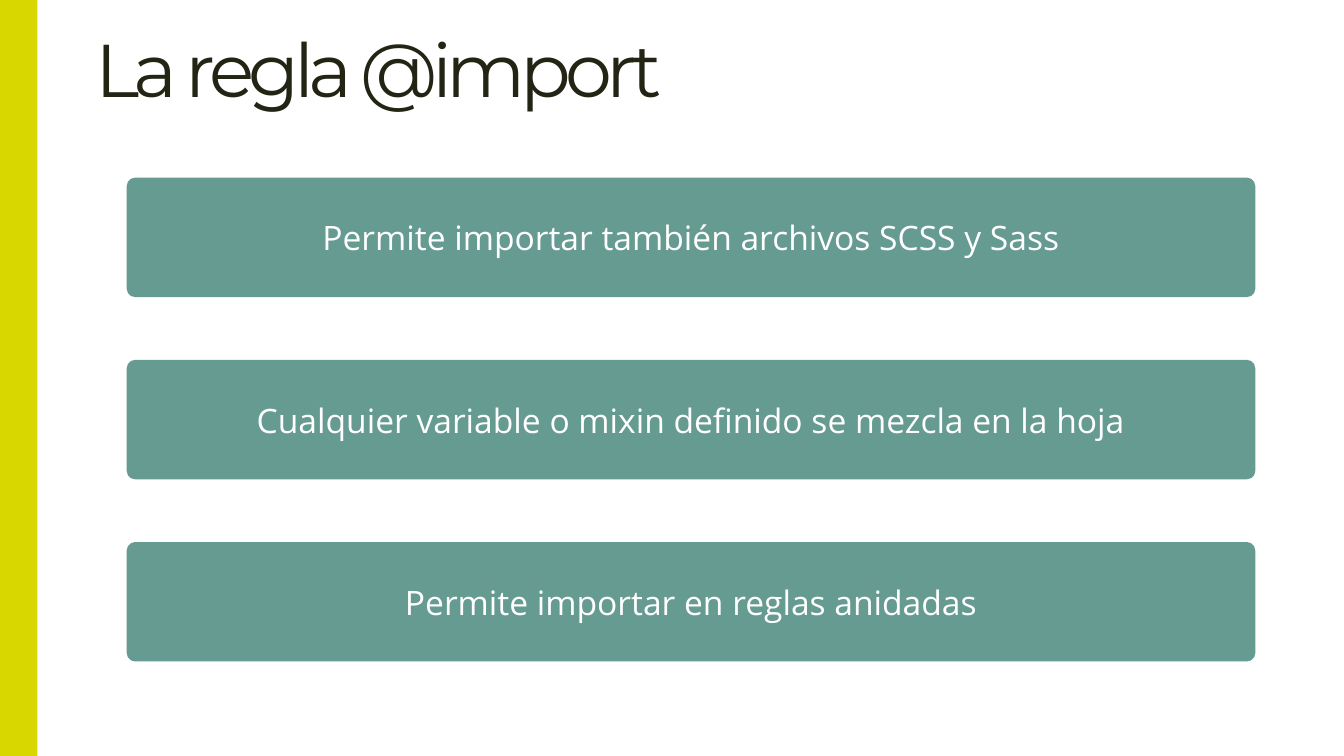
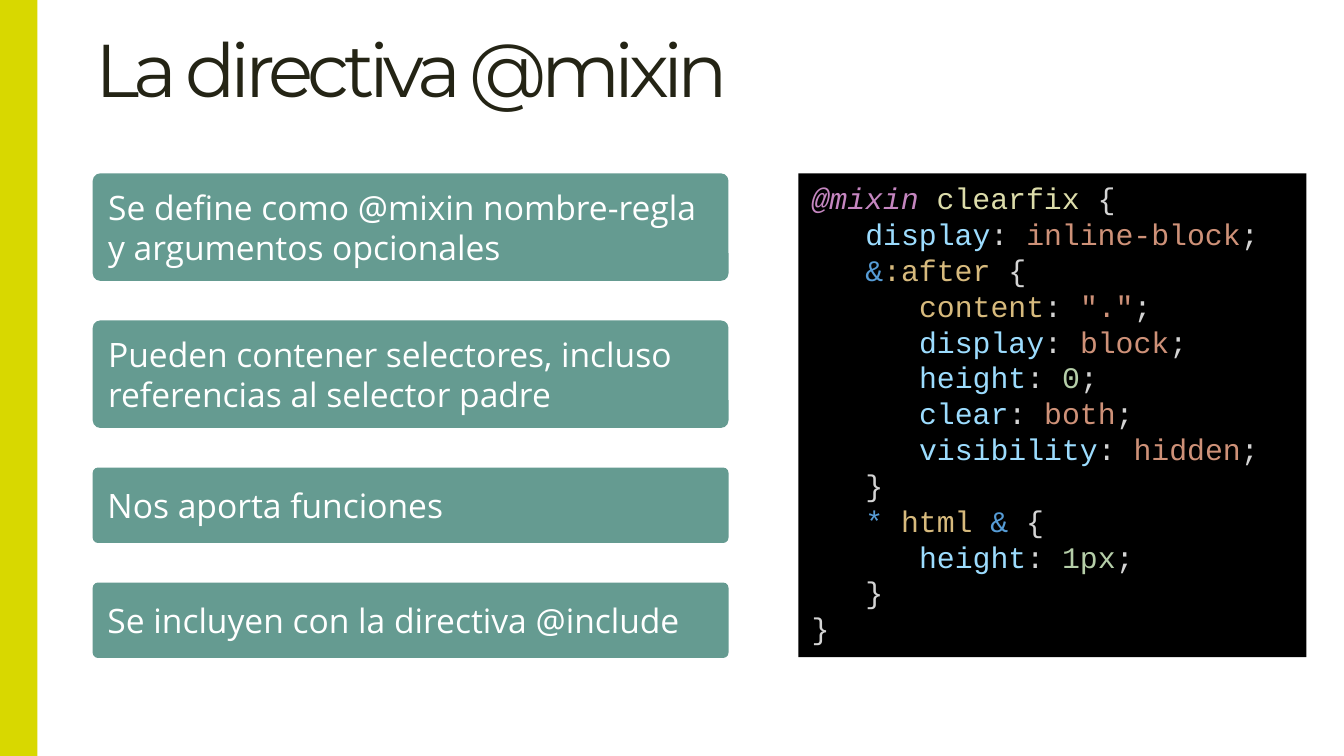
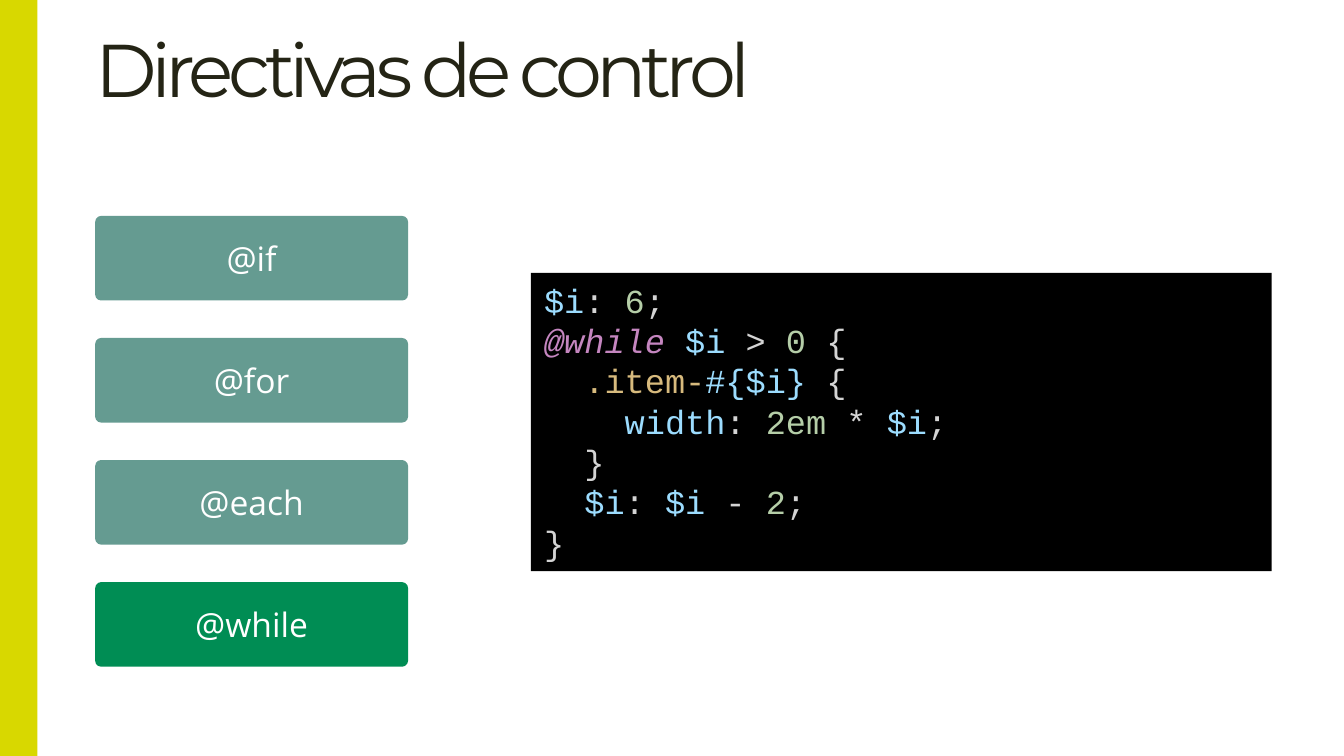
from dataclasses import dataclass
from typing import NamedTuple

from lxml.etree import SubElement
from pptx import Presentation
from pptx.dml.color import RGBColor
from pptx.enum.shapes import MSO_SHAPE
from pptx.enum.text import MSO_ANCHOR, MSO_AUTO_SIZE, PP_ALIGN
from pptx.oxml.ns import qn
from pptx.util import Pt

WIDTH, HEIGHT = 720, 405
INK = RGBColor(0x24, 0x24, 0x15)
LIME = RGBColor(0xD8, 0xD8, 0x00)
TEAL = RGBColor(0x65, 0x9B, 0x91)
GREEN = RGBColor(0x00, 0x8D, 0x54)
WHITE = RGBColor(0xFF, 0xFF, 0xFF)
BLACK = RGBColor(0x00, 0x00, 0x00)

KEYWORD = RGBColor(0xC5, 0x86, 0xC0)
FUNCTION = RGBColor(0xDC, 0xDC, 0xAA)
PLAIN = RGBColor(0xD4, 0xD4, 0xD4)
NAME = RGBColor(0x9C, 0xDC, 0xFE)
VALUE = RGBColor(0xCE, 0x91, 0x78)
NUMBER = RGBColor(0xB5, 0xCE, 0xA8)
SELECTOR = RGBColor(0xD7, 0xBA, 0x7D)
SYMBOL = RGBColor(0x56, 0x9C, 0xD6)

TITLE_FONT, BODY_FONT, CODE_FONT = "Montserrat", "Open Sans", "Courier New"
CODE_CHAR_WIDTH = 0.6


class Token(NamedTuple):
    text: str
    color: RGBColor = PLAIN


class Line(NamedTuple):
    level: int
    tokens: list[Token]


class Card(NamedTuple):
    text: str
    height: float
    color: RGBColor = TEAL


@dataclass
class CardStack:
    left: float
    top: float
    width: float
    gap: float
    cards: list[Card]
    align: PP_ALIGN = PP_ALIGN.CENTER


@dataclass
class CodePanel:
    left: float
    top: float
    width: float
    height: float
    size: float
    indent_chars: int
    lines: list[Line]


def declaration(level: int, name: str, value: str, value_color: RGBColor = VALUE,
                name_color: RGBColor = NAME) -> Line:
    """Return one "name: value;" line."""
    return Line(level, [Token(name, name_color), Token(": "),
                        Token(value, value_color), Token(";")])


def closing(level: int) -> Line:
    """Return a line with a closing brace."""
    return Line(level, [Token("}")])


MIXIN_CARDS = CardStack(49.7, 92.9, 340.6, 21.2, [
    Card("Se define como @mixin nombre-regla y argumentos opcionales", 57.6),
    Card("Pueden contener selectores, incluso referencias al selector padre", 57.6),
    Card("Nos aporta funciones", 40.4),
    Card("Se incluyen con la directiva @include", 40.4),
], PP_ALIGN.LEFT)

MIXIN_CODE = CodePanel(427.7, 92.9, 272.2, 259.2, 16, 3, [
    Line(0, [Token("@mixin ", KEYWORD), Token("clearfix", FUNCTION), Token(" {")]),
    declaration(1, "display", "inline-block"),
    Line(1, [Token("&", SYMBOL), Token(":after", SELECTOR), Token(" {")]),
    declaration(2, "content", '"."', name_color=SELECTOR),
    declaration(2, "display", "block"),
    declaration(2, "height", "0", NUMBER),
    declaration(2, "clear", "both"),
    declaration(2, "visibility", "hidden"),
    closing(1),
    Line(1, [Token("* ", SYMBOL), Token("html ", SELECTOR), Token("&", SYMBOL), Token(" {")]),
    declaration(2, "height", "1px", NUMBER),
    closing(1),
    closing(0),
])

IMPORT_CARDS = CardStack(67.9, 95.2, 604.6, 33.6, [
    Card("Permite importar también archivos SCSS y Sass", 64),
    Card("Cualquier variable o mixin definido se mezcla en la hoja", 64),
    Card("Permite importar en reglas anidadas", 64),
])

CONTROL_CARDS = CardStack(51, 115.7, 167.6, 20.1, [
    Card("@if", 45.3),
    Card("@for", 45.3),
    Card("@each", 45.3),
    Card("@while", 45.3, GREEN),
])

CONTROL_CODE = CodePanel(284.4, 146.2, 396.9, 159.8, 18, 2, [
    declaration(0, "$i", "6", NUMBER),
    Line(0, [Token("@while ", KEYWORD), Token("$i", NAME), Token(" > "),
             Token("0", NUMBER), Token(" {")]),
    Line(1, [Token(".item-", SELECTOR), Token("#{$i}", NAME), Token(" {")]),
    Line(2, [Token("width", NAME), Token(": "), Token("2em", NUMBER), Token(" * "),
             Token("$i", NAME), Token(";")]),
    closing(1),
    Line(1, [Token("$i", NAME), Token(": "), Token("$i", NAME), Token(" - "),
             Token("2", NUMBER), Token(";")]),
    closing(0),
])


def style_run(r, font: str, size: float, color: RGBColor) -> None:
    """Set font, size and colour of a run."""
    r.font.name = font
    r.font.size = Pt(size)
    r.font.color.rgb = color
    for tag in ("a:ea", "a:cs"):
        SubElement(r.font._element, qn(tag), typeface=font)


def add_box(s, kind: MSO_SHAPE, left: float, top: float, width: float, height: float,
            color: RGBColor):
    """Add a flat filled shape without an outline."""
    sp = s.shapes.add_shape(kind, Pt(left), Pt(top), Pt(width), Pt(height))
    sp.shadow.inherit = False
    sp.fill.solid()
    sp.fill.fore_color.rgb = color
    sp.line.fill.background()
    return sp


def add_titled_slide(prs, title: str):
    """Add a blank slide with its title and side band."""
    s = prs.slides.add_slide(prs.slide_layouts[6])
    tf = s.shapes.add_textbox(Pt(51), Pt(0), Pt(649.4), Pt(64)).text_frame
    tf.word_wrap = True
    tf.vertical_anchor = MSO_ANCHOR.BOTTOM
    tf.margin_left = 0
    tf.text = title
    r = tf.paragraphs[0].runs[0]
    style_run(r, TITLE_FONT, 40, INK)
    r.font._element.set("spc", "-300")
    add_box(s, MSO_SHAPE.RECTANGLE, 0, 0, 20, HEIGHT, LIME)
    return s


def add_cards(s, stack: CardStack) -> None:
    """Draw the cards from top to bottom with equal gaps."""
    top = stack.top
    for card in stack.cards:
        sp = add_box(s, MSO_SHAPE.ROUNDED_RECTANGLE, stack.left, top, stack.width,
                     card.height, card.color)
        sp.adjustments[0] = 0.07
        tf = sp.text_frame
        tf.word_wrap = True
        tf.vertical_anchor = MSO_ANCHOR.MIDDLE
        tf.text = card.text
        p = tf.paragraphs[0]
        p.alignment = stack.align
        style_run(p.runs[0], BODY_FONT, 18, WHITE)
        top += card.height + stack.gap


def add_code(s, panel: CodePanel) -> None:
    """Draw a dark panel with coloured, indented code lines."""
    sp = add_box(s, MSO_SHAPE.RECTANGLE, panel.left, panel.top, panel.width,
                 panel.height, BLACK)
    tf = sp.text_frame
    tf.word_wrap = True
    tf.auto_size = MSO_AUTO_SIZE.SHAPE_TO_FIT_TEXT
    tf.vertical_anchor = MSO_ANCHOR.TOP
    indent = panel.indent_chars * panel.size * CODE_CHAR_WIDTH
    for i, line in enumerate(panel.lines):
        p = tf.add_paragraph() if i else tf.paragraphs[0]
        p.alignment = PP_ALIGN.LEFT
        p.line_spacing = Pt(panel.size * 1.2)
        p._p.get_or_add_pPr().set("marL", str(Pt(line.level * indent)))
        for token in line.tokens:
            r = p.add_run()
            r.text = token.text
            style_run(r, CODE_FONT, panel.size, token.color)
            if token.color == KEYWORD:
                r.font.italic = True


def main() -> None:
    """Build and save the three slides."""
    prs = Presentation()
    prs.slide_width, prs.slide_height = Pt(WIDTH), Pt(HEIGHT)

    s = add_titled_slide(prs, "La regla @import")
    add_cards(s, IMPORT_CARDS)

    s = add_titled_slide(prs, "La directiva @mixin")
    add_cards(s, MIXIN_CARDS)
    add_code(s, MIXIN_CODE)

    s = add_titled_slide(prs, "Directivas de control")
    add_cards(s, CONTROL_CARDS)
    add_code(s, CONTROL_CODE)

    prs.save("out.pptx")


if __name__ == "__main__":
    main()
